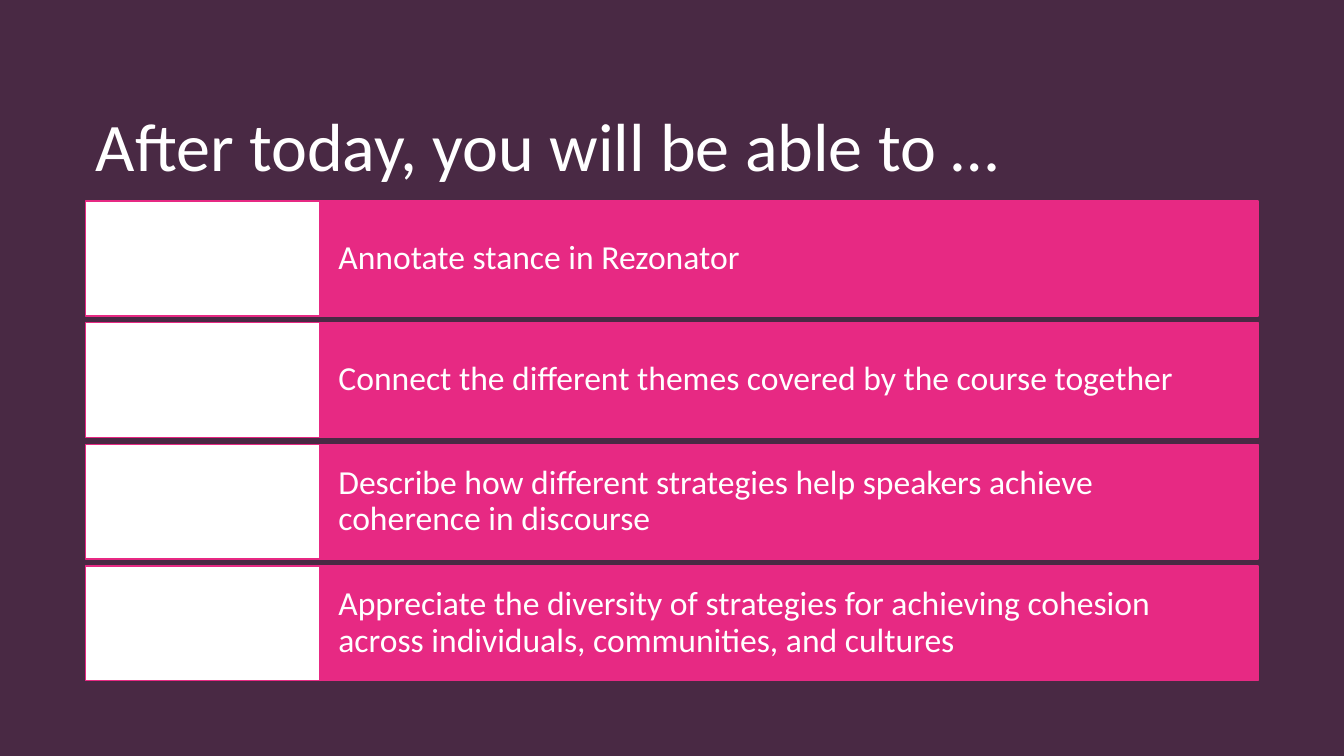
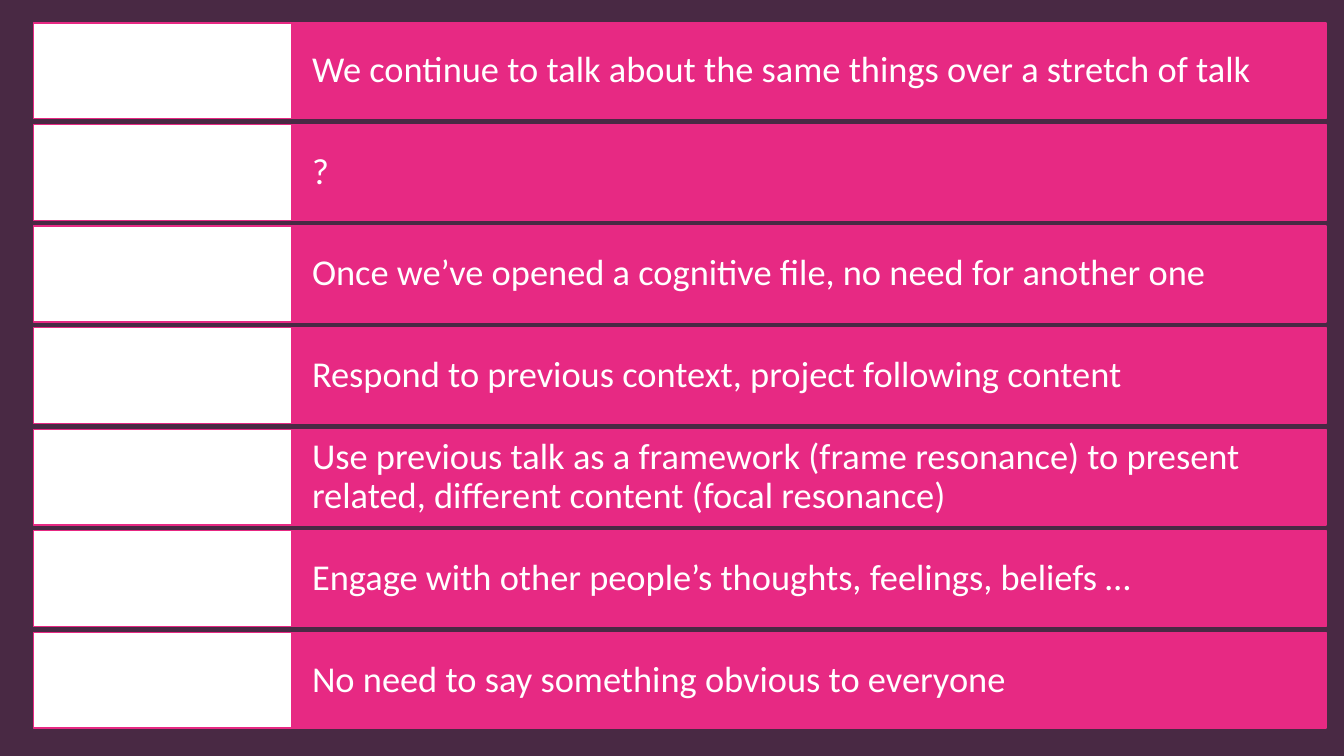
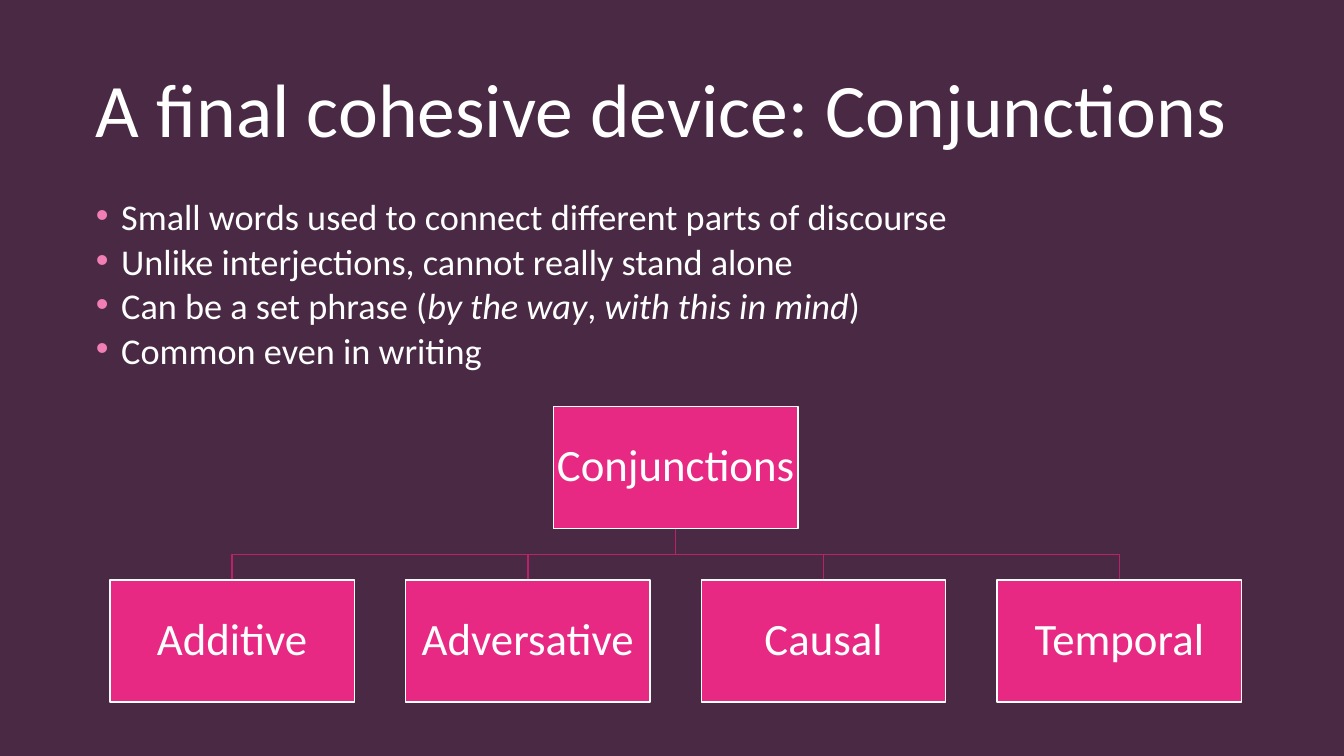
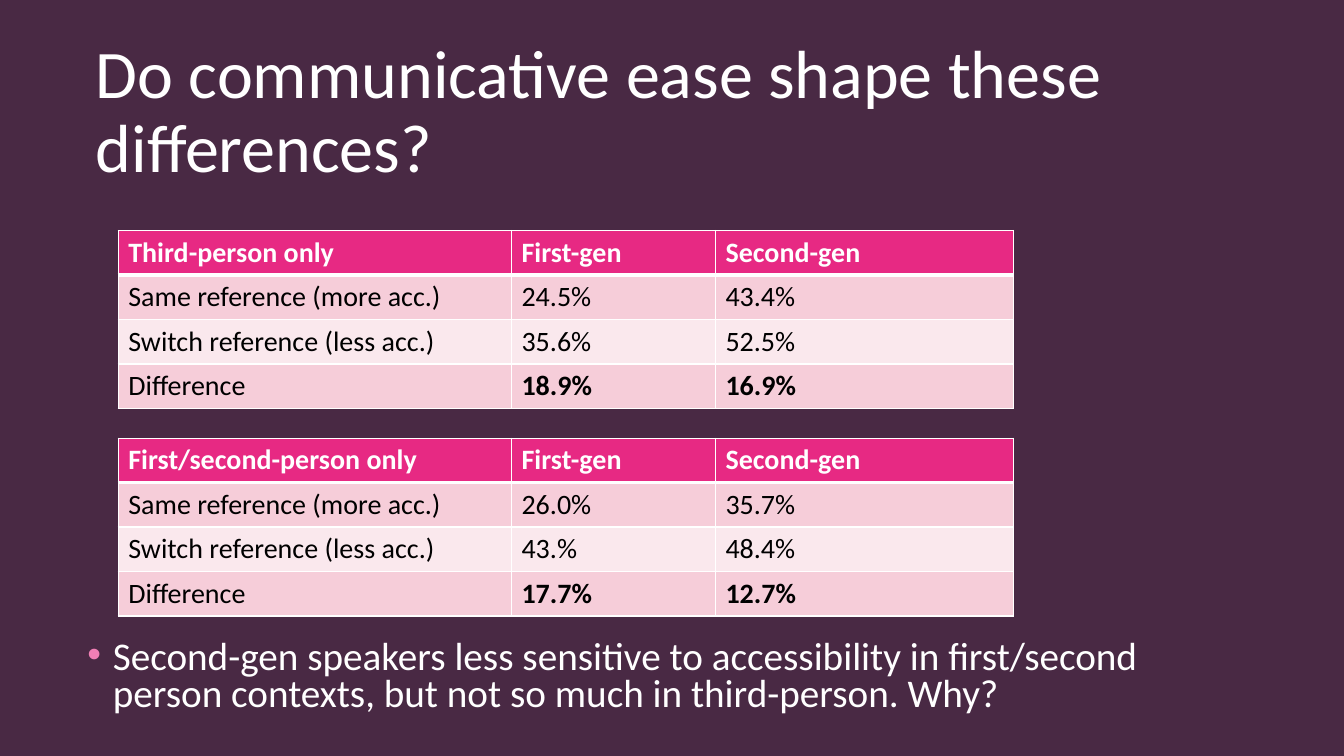
from lxml import etree
from pptx import Presentation
from pptx.dml.color import RGBColor
from pptx.enum.shapes import MSO_SHAPE
from pptx.enum.text import MSO_ANCHOR, MSO_AUTO_SIZE, PP_ALIGN
from pptx.oxml.ns import qn
from pptx.util import Cm, Pt

RECT = MSO_SHAPE.RECTANGLE
MIDDLE, BOTTOM, TOP = MSO_ANCHOR.MIDDLE, MSO_ANCHOR.BOTTOM, MSO_ANCHOR.TOP
LEFT, CENTER = PP_ALIGN.LEFT, PP_ALIGN.CENTER
FIXED = MSO_AUTO_SIZE.NONE

FONT = "Calibri"
DARK, PLUM, PINK, ROSE, BERRY = "301B2D", "4C2B47", "E72983", "F17FB5", "B92169"
WHITE, BLACK, BLUSH, PALE = "FFFFFF", "000000", "F6CDD9", "FAE8ED"
PAGE = (33.87, 19.05)
HEAD = (2.16, 1.02, 29.54, 3.68)

GOALS = [
    "Annotate stance in Rezonator",
    "Connect the different themes covered by the course together",
    "Describe how different strategies help speakers achieve coherence in discourse",
    "Appreciate the diversity of strategies for achieving cohesion across individuals, "
    "communities, and cultures",
]
IDEAS = [
    "We continue to talk about the same things over a stretch of talk",
    "?",
    "Once we’ve opened a cognitive file, no need for another one",
    "Respond to previous context, project following content",
    "Use previous talk as a framework (frame resonance) to present related, "
    "different content (focal resonance)",
    "Engage with other people’s thoughts, feelings, beliefs …",
    "No need to say something obvious to everyone",
]
POINTS = [
    "Small words used to connect different parts of discourse",
    "Unlike interjections, cannot really stand alone",
    "Can be a set phrase (*by the way*, *with this in mind*)",
    "Common even in writing",
]
KINDS = ["Additive", "Adversative", "Causal", "Temporal"]
THIRD = [
    ["Third-person only", "First-gen", "Second-gen"],
    ["Same reference (more acc.)", "24.5%", "43.4%"],
    ["Switch reference (less acc.)", "35.6%", "52.5%"],
    ["Difference", "18.9%", "16.9%"],
]
FIRST = [
    ["First/second-person only", "First-gen", "Second-gen"],
    ["Same reference (more acc.)", "26.0%", "35.7%"],
    ["Switch reference (less acc.)", "43.%", "48.4%"],
    ["Difference", "17.7%", "12.7%"],
]
WHY = ["Second-gen speakers less sensitive to accessibility in first/second person "
       "contexts, but not so much in third-person. Why?"]


def hue(code):
    """Turn a hex string into a colour."""
    return RGBColor.from_string(code)


def place(shape, box):
    """Move a shape to a box given in centimetres."""
    shape.left, shape.top, shape.width, shape.height = map(Cm, box)


def style(para, size, tint=WHITE, bold=False):
    """Format every run of a paragraph."""
    for run in para.runs:
        font = run.font
        font.name, font.size, font.bold = FONT, Pt(size), bold
        font.color.rgb = hue(tint)


def title(slide, text, size, anchor=MIDDLE):
    """Fill and format the title placeholder."""
    shape = slide.shapes.title
    place(shape, HEAD)
    frame = shape.text_frame
    frame.text = text
    frame.auto_size, frame.vertical_anchor = FIXED, anchor
    if anchor == BOTTOM:
        frame.margin_bottom = 0
    para = frame.paragraphs[0]
    para.alignment, para.line_spacing = LEFT, 0.9
    style(para, size)


def bullet(para):
    """Give a paragraph a rose bullet with a hanging indent."""
    props = para._p.get_or_add_pPr()
    props.set("marL", str(Cm(0.64)))
    props.set("indent", str(-Cm(0.64)))
    tint = etree.SubElement(props, qn("a:buClr"))
    etree.SubElement(tint, qn("a:srgbClr"), val=ROSE)
    etree.SubElement(props, qn("a:buFont"), typeface="Arial")
    etree.SubElement(props, qn("a:buChar"), char="•")


def body(slide, box, items, size, space):
    """Fill the body placeholder with bullets, starred parts in italics."""
    shape = slide.placeholders[1]
    place(shape, box)
    frame = shape.text_frame
    frame.auto_size, frame.vertical_anchor = FIXED, TOP
    for i, item in enumerate(items):
        para = frame.add_paragraph() if i else frame.paragraphs[0]
        bullet(para)
        para.line_spacing, para.space_before = space, Pt(10 if i else 0)
        for j, part in enumerate(item.split("*")):
            run = para.add_run()
            run.text = part
            run.font.italic = j % 2 == 1
        style(para, size)


def block(slide, box, fill, edge=None):
    """Draw a plain rectangle, with a thin outline if one is named."""
    shape = slide.shapes.add_shape(RECT, *map(Cm, box))
    shape.shadow.inherit = False
    shape.fill.solid()
    shape.fill.fore_color.rgb = hue(fill)
    if edge:
        shape.line.color.rgb = hue(edge)
        shape.line.width = Pt(1)
    else:
        shape.line.fill.background()
    return shape


def veil(deck, slide):
    """Colour the master and lay a sheer plum sheet over it."""
    master = deck.slide_master
    back = master.background.fill
    back.solid()
    back.fore_color.rgb = hue(DARK)
    item = block(slide, (0, 0) + PAGE, PLUM)._element
    tint = item.spPr.find(qn("a:solidFill")).find(qn("a:srgbClr"))
    etree.SubElement(tint, qn("a:alpha"), val="90000")
    master.shapes._spTree.insert(2, item)


def label(shape, text, size, pad, align):
    """Write centred-height text into a rectangle."""
    frame = shape.text_frame
    frame.text = text
    frame.word_wrap, frame.vertical_anchor = True, MIDDLE
    frame.margin_left = frame.margin_right = Cm(pad)
    frame.margin_top = frame.margin_bottom = 0
    para = frame.paragraphs[0]
    para.alignment, para.line_spacing = align, 0.9
    style(para, size)


def rows(slide, box, items, size):
    """Stack pink text bars, each with a white panel on its left."""
    left, top, width, height = box
    count = len(items)
    high = height / (count + 0.06 * (count - 1))
    side = width * 0.2
    wide = width - side
    for i, item in enumerate(items):
        y = top + i * high * 1.06
        bar = block(slide, (left + side, y, wide, high), PINK, PINK)
        label(bar, item, size, wide * 0.0195, LEFT)
        block(slide, (left, y, side, high), WHITE, PINK)


def bend(slide, start, end):
    """Draw a thin path going down, across and down again."""
    (x, y), (far, low) = start, end
    bus = (y + low) / 2
    pen = slide.shapes.build_freeform(Cm(x), Cm(y))
    turns = [(x, bus), (far, bus), (far, low)]
    pen.add_line_segments([(Cm(a), Cm(b)) for a, b in turns], close=False)
    shape = pen.convert_to_shape()
    shape.shadow.inherit = False
    shape.fill.background()
    shape.line.color.rgb = hue(BERRY)
    shape.line.width = Pt(1)


def tree(slide, box, root, kids):
    """Draw a root box joined to a row of child boxes."""
    left, top, width = box
    count = len(kids)
    wide = width / (count + 0.21 * (count - 1))
    high, gap, half = wide / 2, wide * 0.21, wide / 2
    mid, low = left + width / 2, top + high + gap
    spots = [left + i * (wide + gap) for i in range(count)]
    for x in reversed(spots):
        bend(slide, (mid, top + high), (x + half, low))
    nodes = [(mid - half, top, root)]
    nodes += [(x, low, kid) for x, kid in zip(spots, kids)]
    for x, y, text in nodes:
        node = block(slide, (x, y, wide, high), PINK, WHITE)
        label(node, text, 32, 0.05, CENTER)


def edges(cell, last):
    """Draw white cell borders, the bottom one as wide as asked."""
    props = cell._tc.get_or_add_tcPr()
    sizes = {"a:lnL": 1, "a:lnR": 1, "a:lnT": 1, "a:lnB": last}
    for i, (tag, size) in enumerate(sizes.items()):
        line = etree.Element(qn(tag), w=str(Pt(size)))
        fill = etree.SubElement(line, qn("a:solidFill"))
        etree.SubElement(fill, qn("a:srgbClr"), val=WHITE)
        props.insert(i, line)


def grid(slide, spot, data):
    """Place a table with a pink header and banded rows."""
    cols, high = (9.91, 5.14, 7.52), 1.12
    size = (sum(cols), high * len(data))
    frame = slide.shapes.add_table(len(data), len(cols), *map(Cm, spot + size))
    table = frame.table
    table.horz_banding = False
    for col, wide in zip(table.columns, cols):
        col.width = Cm(wide)
    for r, line in enumerate(data):
        table.rows[r].height = Cm(high)
        top = r == 0
        fill = PINK if top else BLUSH if r % 2 else PALE
        for c, text in enumerate(line):
            cell = table.cell(r, c)
            cell.text = text
            cell.fill.solid()
            cell.fill.fore_color.rgb = hue(fill)
            bold = top or (r == len(data) - 1 and c > 0)
            style(cell.text_frame.paragraphs[0], 20, WHITE if top else BLACK, bold)
            edges(cell, 3 if top else 1)


def main():
    """Build the four slides and save them."""
    deck = Presentation()
    deck.slide_width, deck.slide_height = map(Cm, PAGE)
    full, lone, bare = (deck.slide_layouts[i] for i in (1, 5, 6))

    slide = deck.slides.add_slide(lone)
    veil(deck, slide)
    title(slide, "After today, you will be able to …", 48.6, BOTTOM)
    rows(slide, (2.16, 5.07, 29.54, 12.08), GOALS, 24)

    slide = deck.slides.add_slide(bare)
    rows(slide, (0.84, 0.58, 32.58, 17.77), IDEAS, 26)

    slide = deck.slides.add_slide(full)
    title(slide, "A final cohesive device: Conjunctions", 54)
    body(slide, (2.16, 5.07, 29.54, 4.45), POINTS, 25.9, 0.7)
    tree(slide, (2.77, 10.24, 28.52), "Conjunctions", KINDS)

    slide = deck.slides.add_slide(full)
    title(slide, "Do communicative ease shape these differences?", 48.6)
    grid(slide, (2.98, 5.81), THIRD)
    grid(slide, (2.98, 11.04), FIRST)
    body(slide, (1.95, 16, 29.54, 2.26), WHY, 28, 0.8)

    deck.save("out.pptx")


if __name__ == "__main__":
    main()
